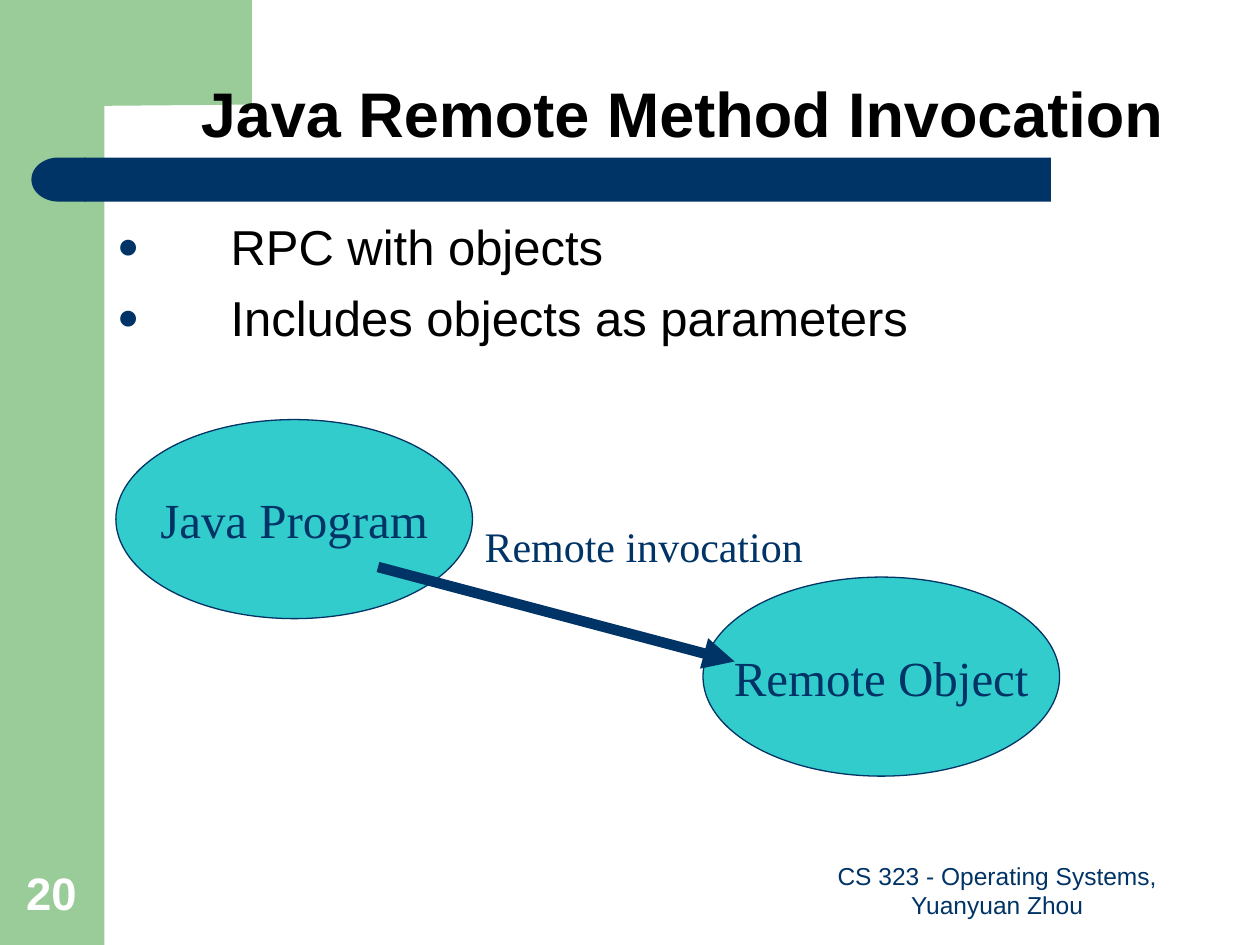
import dataclasses

import lxml.etree
import pptx
import pptx.dml.color
import pptx.enum.shapes
import pptx.enum.text
import pptx.oxml.ns
import pptx.util

Inches = pptx.util.Inches
Pt = pptx.util.Pt
qn = pptx.oxml.ns.qn
Preset = pptx.enum.shapes.MSO_SHAPE
Align = pptx.enum.text.PP_ALIGN
Anchor = pptx.enum.text.MSO_ANCHOR


@dataclasses.dataclass(frozen=True)
class Theme:
    green: str = "99CC99"
    navy: str = "003366"
    teal: str = "33CCCC"
    black: str = "000000"
    white: str = "FFFFFF"
    sans: str = "Arial"
    serif: str = "Times New Roman"
    title: int = 36
    body: int = 28
    number: int = 26
    label: int = 24
    footer: int = 14


@dataclasses.dataclass(frozen=True)
class Box:
    left: float
    top: float
    width: float
    height: float

    def lengths(self) -> tuple:
        return tuple(Inches(v) for v in dataclasses.astuple(self))


@dataclasses.dataclass(frozen=True)
class TextStyle:
    size: int
    color: str
    font: str
    bold: bool = False
    align: Align = Align.CENTER
    anchor: Anchor = Anchor.BOTTOM
    wrap: bool = True


@dataclasses.dataclass(frozen=True)
class Node:
    text: str
    left: float
    top: float


THEME = Theme()
NODE_STYLE = TextStyle(THEME.body, THEME.navy, THEME.serif,
                       anchor=Anchor.MIDDLE, wrap=False)
NODES = [Node("Java Program", 0.92, 3.33), Node("Remote Object", 5.58, 4.58)]
TOPICS = ["RPC with objects", "Includes objects as parameters"]


def rgb(color: str) -> pptx.dml.color.RGBColor:
    return pptx.dml.color.RGBColor.from_string(color)


def paint(shape, fill: str, line: str = "") -> None:
    shape.shadow.inherit = False
    shape.fill.solid()
    shape.fill.fore_color.rgb = rgb(fill)
    if line:
        shape.line.color.rgb = rgb(line)
        shape.line.width = Pt(0.75)
    else:
        shape.line.fill.background()


def add_preset(slide, preset: Preset, box: Box, fill: str, line: str = ""):
    shape = slide.shapes.add_shape(preset, *box.lengths())
    paint(shape, fill, line)
    return shape


def write(shape, text: str, style: TextStyle) -> None:
    frame = shape.text_frame
    frame.text = text
    frame.word_wrap = style.wrap
    frame.auto_size = pptx.enum.text.MSO_AUTO_SIZE.NONE
    frame.vertical_anchor = style.anchor
    for paragraph in frame.paragraphs:
        paragraph.alignment = style.align
        for run in paragraph.runs:
            run.font.size = Pt(style.size)
            run.font.name = style.font
            run.font.bold = style.bold
            run.font.color.rgb = rgb(style.color)


def place(placeholder, box: Box) -> None:
    (placeholder.left, placeholder.top,
     placeholder.width, placeholder.height) = box.lengths()


def add_label(slide, text: str, box: Box, style: TextStyle) -> None:
    write(slide.shapes.add_textbox(*box.lengths()), text, style)


def set_bullet(paragraph) -> None:
    properties = paragraph._p.get_or_add_pPr()
    properties.set("marL", str(Inches(0.9)))
    properties.set("indent", str(-Inches(0.9)))
    color = lxml.etree.SubElement(properties, qn("a:buClr"))
    lxml.etree.SubElement(color, qn("a:srgbClr"), val=THEME.navy)
    lxml.etree.SubElement(properties, qn("a:buSzPct"), val="75000")
    lxml.etree.SubElement(properties, qn("a:buFont"), typeface=THEME.sans)
    lxml.etree.SubElement(properties, qn("a:buChar"), char="●")


def add_arrow(slide, start: tuple, end: tuple) -> None:
    arrow = slide.shapes.add_connector(
        pptx.enum.shapes.MSO_CONNECTOR.STRAIGHT,
        *(Inches(v) for v in start + end))
    arrow.line.color.rgb = rgb(THEME.navy)
    arrow.line.width = Pt(6)
    lxml.etree.SubElement(arrow.line._get_or_add_ln(), qn("a:tailEnd"),
                          type="triangle")
    lxml.etree.SubElement(arrow._element.spPr, qn("a:effectLst"))


def add_backdrop(slide) -> None:
    add_preset(slide, Preset.RECTANGLE, Box(0, 0, 0.83, 7.5), THEME.green)
    # Corner block with a rounded inner edge, in hundredths of an inch
    corner = slide.shapes.build_freeform(200, 0, scale=Inches(0.01))
    corner.add_line_segments([
        (200, 83), (83, 84), (77, 85), (71, 92), (68, 104),
        (67, 116), (67, 128), (50, 128), (50, 0)])
    paint(corner.convert_to_shape(), THEME.green)
    # Title bar and its round end
    bar = add_preset(slide, Preset.ROUNDED_RECTANGLE,
                     Box(0.67, 1.25, 7.67, 0.35), THEME.navy)
    bar.adjustments[0] = 0
    bar_end = add_preset(slide, Preset.FLOWCHART_DELAY,
                         Box(0.25, 1.25, 0.43, 0.35), THEME.navy)
    bar_end._element.spPr.xfrm.set("flipH", "1")


def main() -> None:
    deck = pptx.Presentation()
    deck.slide_width, deck.slide_height = Inches(10), Inches(7.5)
    slide = deck.slides.add_slide(deck.slide_layouts[1])
    title, topics = slide.shapes.title, slide.placeholders[1]

    # Backdrop, with the placeholders brought in front of it
    add_backdrop(slide)
    for placeholder in (title, topics):
        slide.shapes._spTree.append(placeholder._element)

    # Title and list
    place(title, Box(1.08, 0, 8.67, 1.25))
    write(title, "Java Remote Method Invocation",
          TextStyle(THEME.title, THEME.black, THEME.sans, bold=True))
    title.text_frame.paragraphs[0].line_spacing = 0.9
    place(topics, Box(0.83, 1.67, 8.41, 5.17))
    write(topics, "\n".join(TOPICS),
          TextStyle(THEME.body, THEME.black, THEME.sans,
                    align=Align.LEFT, anchor=Anchor.TOP))
    for index, paragraph in enumerate(topics.text_frame.paragraphs):
        set_bullet(paragraph)
        paragraph.space_before = Pt(7 if index else 0)

    # Diagram
    for node in NODES:
        oval = add_preset(slide, Preset.OVAL,
                          Box(node.left, node.top, 2.83, 1.58),
                          THEME.teal, THEME.navy)
        write(oval, node.text, NODE_STYLE)
    add_arrow(slide, (3, 4.5), (5.83, 5.25))
    add_label(slide, "Remote invocation", Box(3.71, 4.08, 2.8, 0.5),
              TextStyle(THEME.label, THEME.navy, THEME.serif,
                        anchor=Anchor.TOP, wrap=False))

    # Footer and slide number
    add_label(slide, "CS 323 - Operating Systems, Yuanyuan Zhou",
              Box(6.33, 6.83, 3.17, 0.52),
              TextStyle(THEME.footer, THEME.navy, THEME.sans))
    add_label(slide, "20", Box(0.11, 6.82, 0.64, 0.53),
              TextStyle(THEME.number, THEME.white, THEME.sans, bold=True,
                        align=Align.LEFT))
    deck.save("out.pptx")


if __name__ == "__main__":
    main()
